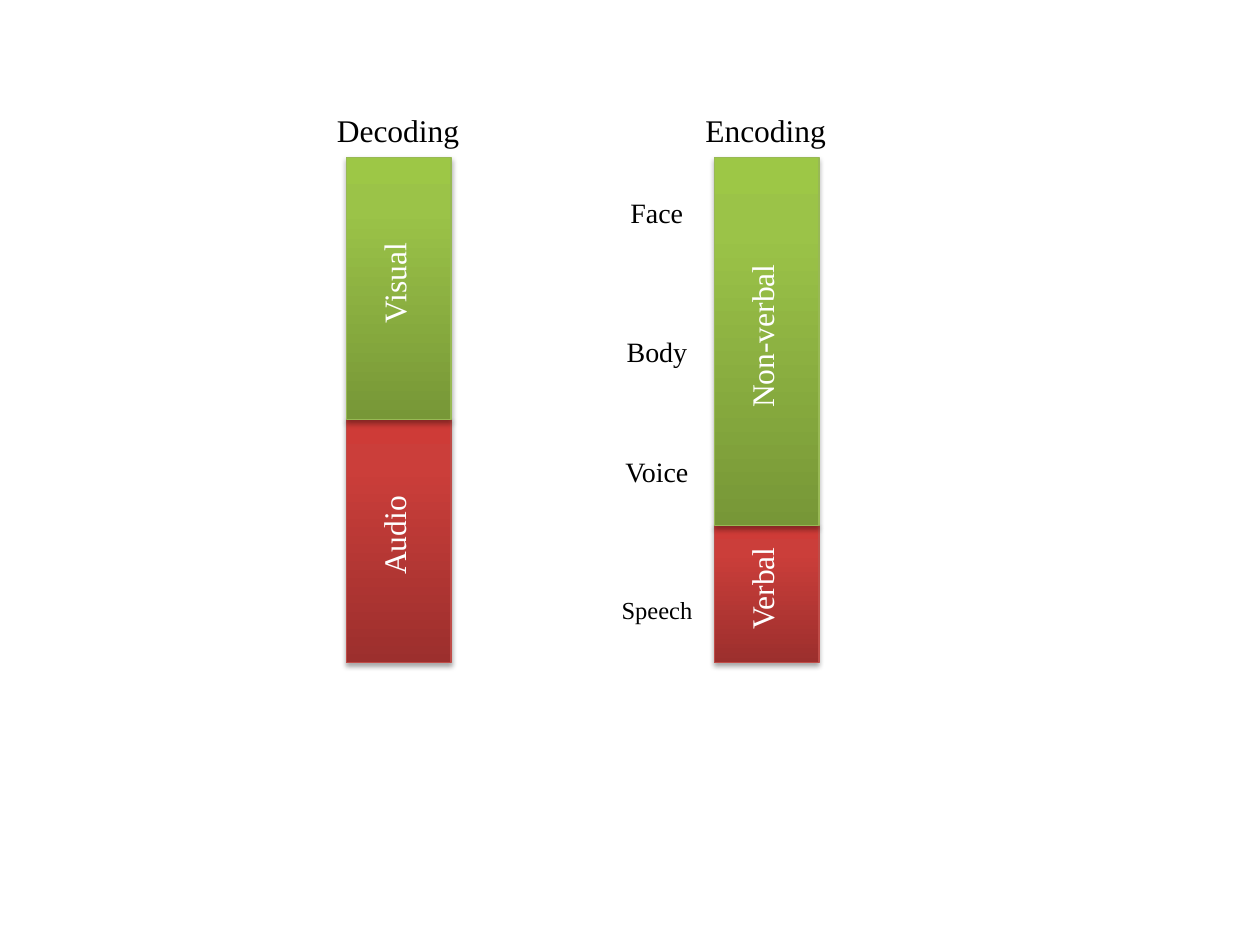
from lxml import etree
from pptx import Presentation
from pptx.dml.color import RGBColor as RGB
from pptx.enum.shapes import MSO_SHAPE as Shape
from pptx.enum.text import MSO_AUTO_SIZE as Fit
from pptx.oxml import parse_xml
from pptx.util import Inches, Pt

FONT = "Times New Roman"
COLORS = {"black": "000000", "white": "FFFFFF", "red edge": "BF4C48", "green edge": "98B955"}
FADES = {
    "red": [(0, "9C2F2D"), (80, "CB3E3A"), (100, "CE3B37")],
    "green": [(0, "779737"), (80, "9BC348"), (100, "9DC746")],
}
TOP, BASE, WIDE = 1.25, 5.26, 0.83
TURN_X, TURN_Y = -0.04, -0.05
BARS = [
    {"title": ("Decoding", 1.18), "left": 2.75, "split": 3.33,
     "upper": ("Visual", 0.85), "lower": ("Audio", 0.83)},
    {"title": ("Encoding", 1.17), "left": 5.67, "split": 4.17,
     "upper": ("Non-verbal", 1.35), "lower": ("Verbal", 0.86)},
]
SIDE_X = 5.22
SIDES = [("Face", 0.63, 1.69, 16), ("Body", 0.69, 2.79, 16),
         ("Voice", 0.71, 3.74, 16), ("Speech", 0.77, 4.84, 14)]
HIGH = {14: 0.34, 16: 0.37, 18: 0.4}
NS = 'xmlns:a="http://schemas.openxmlformats.org/drawingml/2006/main"'

deck = Presentation()
deck.slide_width, deck.slide_height = Inches(10), Inches(7.5)
slide = deck.slides.add_slide(deck.slide_layouts[6])


def label(text, wide, x, y, size=18, color="black", turn=0):
    high = HIGH[size]
    box = slide.shapes.add_textbox(
        Inches(x - wide / 2), Inches(y - high / 2), Inches(wide), Inches(high))
    box.rotation = turn
    frame = box.text_frame
    frame.word_wrap = False
    frame.auto_size = Fit.SHAPE_TO_FIT_TEXT
    run = frame.paragraphs[0].add_run()
    run.text = text
    run.font.name, run.font.size = FONT, Pt(size)
    run.font.color.rgb = RGB.from_string(COLORS[color])


def block(left, top, base, hue):
    part = slide.shapes.add_shape(
        Shape.RECTANGLE, Inches(left), Inches(top), Inches(WIDE), Inches(base - top))
    part.line.color.rgb = RGB.from_string(COLORS[hue + " edge"])
    part.line.width = Pt(0.75)
    stops = "".join(f'<a:gs pos="{pos * 1000}"><a:srgbClr val="{color}"/></a:gs>'
                    for pos, color in FADES[hue])
    props = part.element.spPr
    fade = parse_xml(f'<a:gradFill {NS} rotWithShape="1"><a:gsLst>{stops}</a:gsLst>'
                     '<a:lin ang="16200000" scaled="0"/></a:gradFill>')
    props.insert(2, fade)
    shade = etree.SubElement(props, fade.tag.replace("gradFill", "effectLst"))
    shade.append(parse_xml(
        f'<a:outerShdw {NS} blurRad="{Pt(3.1)}" dist="{Pt(1.8)}" dir="5400000" rotWithShape="0">'
        f'<a:srgbClr val="{COLORS["black"]}"><a:alpha val="35000"/></a:srgbClr></a:outerShdw>'))


for text, wide, y, size in SIDES:
    label(text, wide, SIDE_X, y, size)

for bar in BARS:
    left, split = bar["left"], bar["split"]
    mid = left + WIDE / 2
    parts = [("lower", split, BASE, "red"), ("upper", TOP, split, "green")]
    for _, top, base, hue in parts:
        block(left, top, base, hue)
    for key, top, base, _ in parts:
        label(*bar[key], mid + TURN_X, (top + base) / 2 + TURN_Y, color="white", turn=270)
    label(*bar["title"], mid, 1.03)

deck.save("out.pptx")
